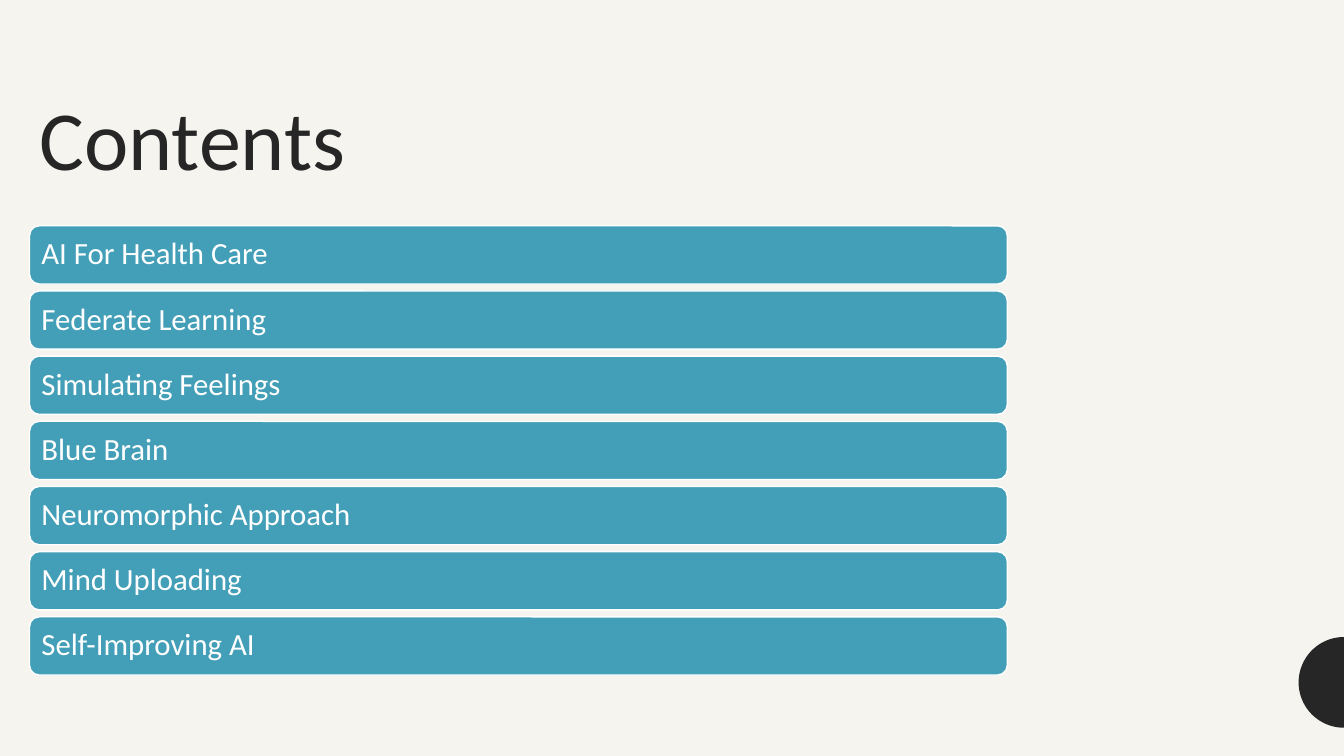
import math

from pptx import Presentation
from pptx import util as u
from pptx.dml.color import RGBColor
from pptx.enum import shapes, text

TOPICS = [
    "AI For Health Care",
    "Federate Learning",
    "Simulating Feelings",
    "Blue Brain",
    "Neuromorphic Approach",
    "Mind Uploading",
    "Self-Improving AI",
]


def colour(code):
    """Turn a hex string into a colour."""
    return RGBColor.from_string(code)


def apply(target, formats):
    """Set each format value on the target."""
    for name, value in formats.items():
        setattr(target, name, value)


class ContentsSlide:
    """Draws on one slide, with lengths in percent of its width and height."""

    PAPER, INK, TEAL, WHITE = "F6F4EF", "262626", "439EB7", "FFFFFF"
    FONT = "Calibri"

    def __init__(self, deck):
        """Add a blank page with its background."""
        self.width, self.height = deck.slide_width, deck.slide_height
        self.page = deck.slides.add_slide(deck.slide_layouts[6])
        self.paint(self.page.background.fill, self.PAPER)

    def x(self, share):
        """Give a share of the width as a length."""
        return round(self.width * share / 100)

    def y(self, share):
        """Give a share of the height as a length."""
        return round(self.height * share / 100)

    def area(self, left, top, width, height):
        """Give a rectangle as four lengths."""
        return self.x(left), self.y(top), self.x(width), self.y(height)

    def paint(self, fill, code):
        """Make a fill solid."""
        fill.solid()
        fill.fore_color.rgb = colour(code)

    def label(self, box, words, size, code, frame, spacing):
        """Put one left-aligned paragraph in a box."""
        apply(box.text_frame, {"word_wrap": True, **frame})
        para = box.text_frame.paragraphs[0]
        apply(para, {"alignment": text.PP_ALIGN.LEFT, **spacing})
        span = para.add_run()
        span.text = words
        apply(span.font, {"name": self.FONT, "size": u.Pt(size)})
        span.font.color.rgb = colour(code)

    def title(self, words, *place):
        """Add the heading."""
        box = self.page.shapes.add_textbox(*self.area(*place))
        frame = {"vertical_anchor": text.MSO_ANCHOR.TOP}
        spacing = {"line_spacing": 1.1, "space_before": u.Pt(4), "space_after": u.Pt(4)}
        self.label(box, words, 60, self.INK, frame, spacing)

    def bar(self, words, *place):
        """Add a rounded bar with a topic."""
        box = self.page.shapes.add_shape(
            shapes.MSO_SHAPE.ROUNDED_RECTANGLE, *self.area(*place))
        box.shadow.inherit = False
        self.paint(box.fill, self.TEAL)
        self.paint(box.line.fill, self.WHITE)
        box.line.width = u.Pt(1)
        sides = ("left", "top", "right", "bottom")
        frame = {f"margin_{side}": u.Inches(0.09) for side in sides}
        frame["vertical_anchor"] = text.MSO_ANCHOR.MIDDLE
        self.label(box, words, 22, self.WHITE, frame, {"line_spacing": 0.9})

    def half_disc(self, centre_x, centre_y, radius, steps=48):
        """Add the left half of a disc."""
        middle_x, middle_y, reach = self.x(centre_x), self.y(centre_y), self.y(radius)
        angles = [math.pi * step / steps for step in range(steps + 1)]
        points = [(round(middle_x - reach * math.sin(angle)),
                   round(middle_y - reach * math.cos(angle))) for angle in angles]
        builder = self.page.shapes.build_freeform(*points[0])
        builder.add_line_segments(points[1:], close=True)
        disc = builder.convert_to_shape()
        disc.shadow.inherit = False
        self.paint(disc.fill, self.INK)
        disc.line.fill.background()


def main():
    """Build and save the deck."""
    deck = Presentation()
    apply(deck, {"slide_width": u.Inches(13.33), "slide_height": u.Inches(7.5)})
    contents = ContentsSlide(deck)
    contents.half_disc(100, 90.27, 6)
    contents.title("Contents", 2.2, 9.5, 85.4, 16.1)
    for row, topic in enumerate(TOPICS):
        contents.bar(topic, 2.2, 29.87 + 8.62 * row, 72.75, 7.7)
    deck.save("out.pptx")


if __name__ == "__main__":
    main()
